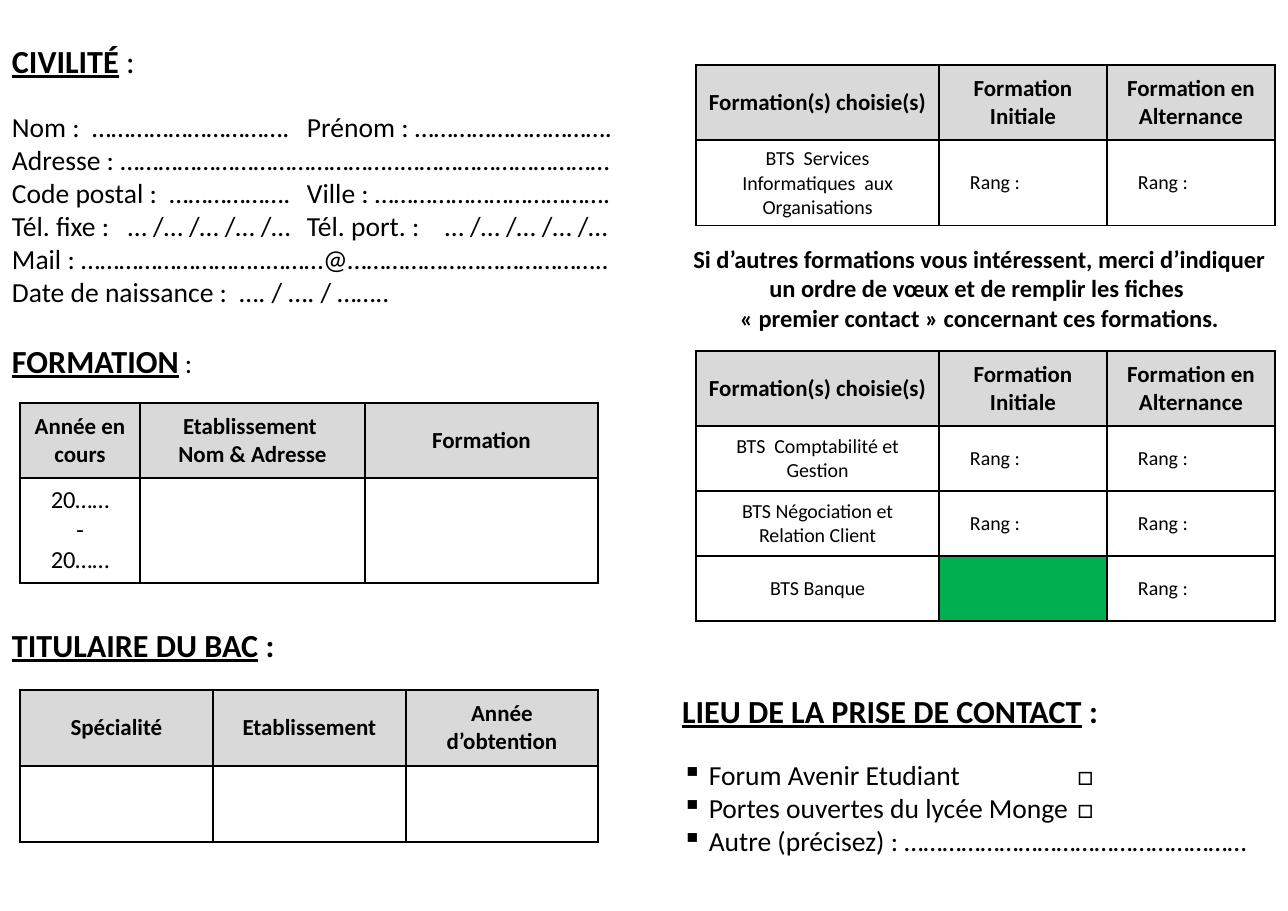
from lxml import etree
from pptx import Presentation
from pptx.dml.color import RGBColor
from pptx.enum.text import MSO_ANCHOR, PP_ALIGN
from pptx.oxml.ns import qn
from pptx.util import Pt

LEFT, CENTER = PP_ALIGN.LEFT, PP_ALIGN.CENTER
TOP, MIDDLE = MSO_ANCHOR.TOP, MSO_ANCHOR.MIDDLE
PX = 8298
COLORS = {"text": "000000", "header": "D9D9D9", "closed": "00B050"}
RANK = "Rang :"


class Form:
    font = "Calibri"
    margin_x, margin_y = 12, 7
    cell_margin = 13

    def __init__(self, page):
        self.page = page

    def style(self, paragraph, size, bold=False, align=LEFT):
        paragraph.alignment = align
        for span in paragraph.runs:
            span.font.name = self.font
            span.font.size = Pt(size)
            span.font.bold = bold
            span.font.color.rgb = RGBColor.from_string(COLORS["text"])

    def frame(self, left, top, width, height):
        box = self.page.shapes.add_textbox(left * PX, top * PX, width * PX, height * PX)
        frame = box.text_frame
        frame.word_wrap = True
        frame.vertical_anchor = TOP
        frame.margin_left = frame.margin_right = self.margin_x * PX
        frame.margin_top = frame.margin_bottom = self.margin_y * PX
        return frame

    def heading(self, left, top, title, colon_size=21, colon_bold=True):
        paragraph = self.frame(left, top, 600, 53).paragraphs[0]
        paragraph.text = title
        paragraph.add_run().text = " :"
        self.style(paragraph, 21, bold=True)
        name, colon = paragraph.runs
        name.font.underline = True
        colon.font.size = Pt(colon_size)
        colon.font.bold = colon_bold

    def text(self, left, top, width, height, text, size,
             bold=False, align=LEFT, tabs=(), bullet=None):
        frame = self.frame(left, top, width, height)
        frame.text = text
        for paragraph in frame.paragraphs:
            self.style(paragraph, size, bold, align)
            properties = paragraph._p.get_or_add_pPr()
            if bullet:
                etree.SubElement(properties, qn("a:buChar"), char=bullet)
            if tabs:
                stops = etree.SubElement(properties, qn("a:tabLst"))
                for stop in tabs:
                    etree.SubElement(stops, qn("a:tab"), pos=str(stop * PX), algn="l")

    def borders(self, cell):
        properties = cell._tc.get_or_add_tcPr()
        for side in ("a:lnL", "a:lnR", "a:lnT", "a:lnB"):
            line = etree.SubElement(properties, qn(side), w=str(Pt(1)))
            fill = etree.SubElement(line, qn("a:solidFill"))
            etree.SubElement(fill, qn("a:srgbClr"), val=COLORS["text"])

    def cell(self, cell, text, size, bold=False, fill=None):
        self.borders(cell)
        cell.vertical_anchor = MIDDLE
        cell.margin_left = cell.margin_right = self.cell_margin * PX
        cell.margin_top = cell.margin_bottom = self.margin_y * PX
        if fill:
            cell.fill.solid()
            cell.fill.fore_color.rgb = RGBColor.from_string(COLORS[fill])
        else:
            cell.fill.background()
        align = CENTER
        if text == RANK:
            cell.margin_left = (self.cell_margin + 18) * PX
            align = LEFT
        cell.text = text
        for paragraph in cell.text_frame.paragraphs:
            self.style(paragraph, size, bold, align)

    def table(self, left, top, widths, heights, rows, size, closed=()):
        table = self.page.shapes.add_table(
            len(rows), len(widths), left * PX, top * PX,
            sum(widths) * PX, sum(heights) * PX).table
        table.first_row = table.horz_banding = False
        for column, width in zip(table.columns, widths):
            column.width = width * PX
        for r, (height, texts) in enumerate(zip(heights, rows)):
            table.rows[r].height = height * PX
            for c, text in enumerate(texts):
                if r == 0:
                    self.cell(table.cell(r, c), text, 15, bold=True, fill="header")
                else:
                    fill = "closed" if (r, c) in closed else None
                    self.cell(table.cell(r, c), text, size, fill=fill)


def main():
    deck = Presentation()
    deck.slide_width, deck.slide_height = 1288 * PX, 911 * PX
    form = Form(deck.slides.add_slide(deck.slide_layouts[6]))

    form.heading(0, 34, "CIVILITÉ", colon_bold=False)
    form.text(0, 103, 629, 214, "\n".join([
        "Nom :  ………………………….\tPrénom : ………………………….",
        "Adresse : ……………………………………..……………………………",
        "Code postal :  ……………….\tVille : ……………………………….",
        "Tél. fixe :\t… /… /… /… /…\tTél. port. :\t… /… /… /… /…",
        "Mail : ………………………..………@…………………………………..",
        "Date de naissance :  …. / …. / ……..",
    ]), 18, tabs=(116, 295, 433))

    form.heading(0, 334, "FORMATION", colon_size=18, colon_bold=False)
    form.table(20, 403, (120, 225, 233), (75, 105), [
        ("Année en cours", "Etablissement \nNom & Adresse", "Formation"),
        ("20……\n-\n20……", "", ""),
    ], 16)

    form.heading(0, 618, "TITULAIRE DU BAC")
    form.table(20, 690, (193, 193, 192), (76, 76), [
        ("Spécialité", "Etablissement", "Année d’obtention"),
        ("", "", ""),
    ], 16)

    choice_header = ("Formation(s) choisie(s)", "Formation Initiale", "Formation en Alternance")
    choice_widths = (243, 168, 168)
    form.table(696, 65, choice_widths, (75, 85), [
        choice_header,
        ("BTS  Services Informatiques  aux Organisations", RANK, RANK),
    ], 13)
    form.text(670, 237, 619, 102,
              "Si d’autres formations vous intéressent, merci d’indiquer "
              "un ordre de vœux et de remplir les fiches \v"
              "«\u00a0premier contact\u00a0» concernant ces formations.",
              16, bold=True, align=CENTER)
    form.table(696, 351, choice_widths, (75, 65, 65, 65), [
        choice_header,
        ("BTS  Comptabilité et Gestion", RANK, RANK),
        ("BTS Négociation et Relation Client", RANK, RANK),
        ("BTS Banque", "", RANK),
    ], 13, closed={(3, 1)})

    form.heading(670, 684, "LIEU DE LA PRISE DE CONTACT")
    form.text(670, 751, 619, 115, "\n".join([
        " Forum Avenir Etudiant \t□",
        " Portes ouvertes du lycée Monge\t□",
        " Autre (précisez) : ………………………………………………",
    ]), 18, tabs=(395,), bullet="▪")

    deck.save("out.pptx")


if __name__ == "__main__":
    main()
